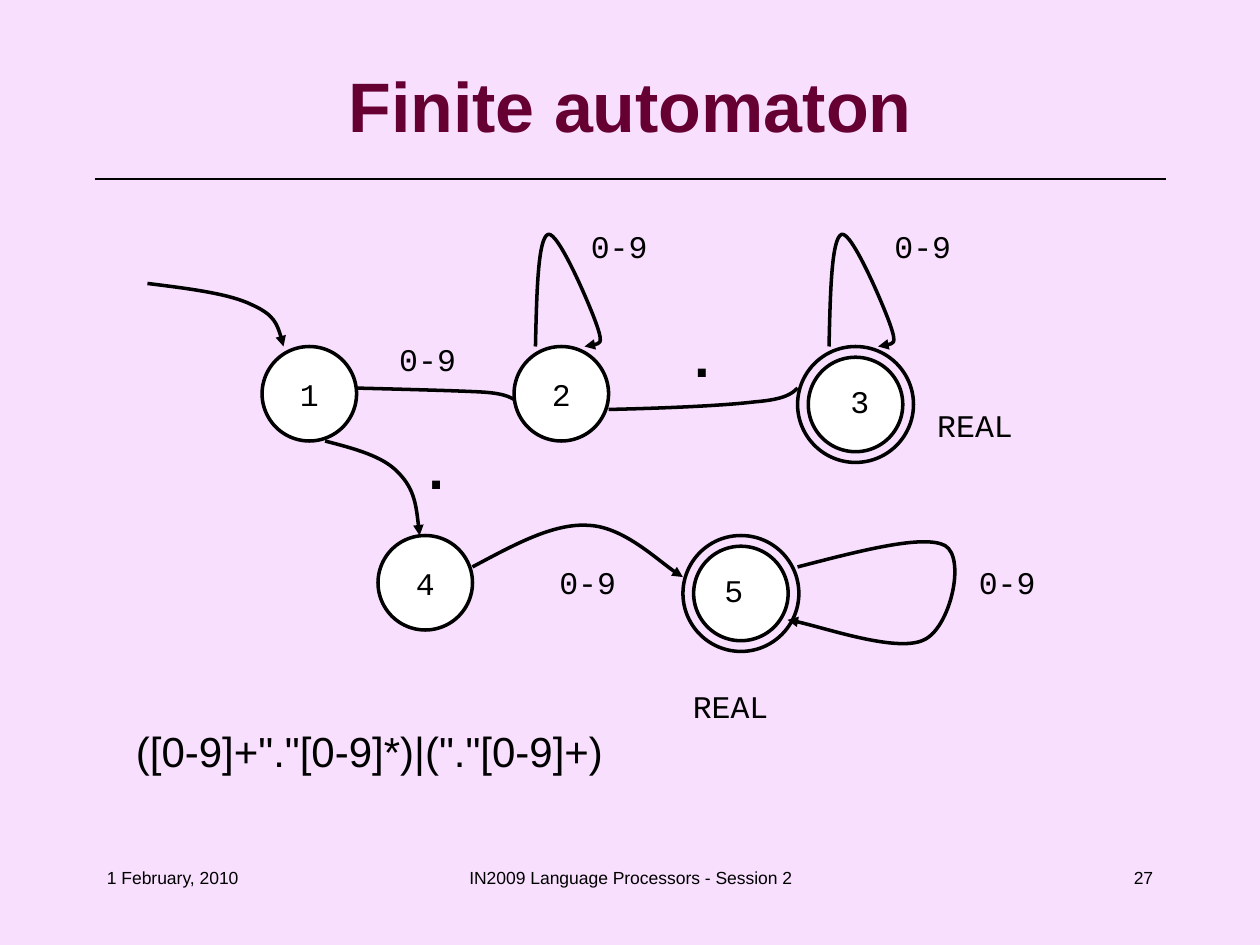
import pptx
import pptx.util
import pptx.dml.color
import pptx.enum.shapes
import pptx.enum.text
import pptx.oxml.ns
import lxml.etree

Inches = pptx.util.Inches
Pt = pptx.util.Pt
RGB = pptx.dml.color.RGBColor.from_string
ALIGN = pptx.enum.text.PP_ALIGN
ANCHOR = pptx.enum.text.MSO_ANCHOR
qn = pptx.oxml.ns.qn

THEME = {
    "back": "F7DFFD", "title": "660033", "ink": "000000", "node": "FFFFFF",
    "sans": "Arial", "mono": "Courier New",
    "head": 40, "dot": 32, "rule": 24, "label": 18, "foot": 10,
    "thin": 0.75, "thick": 2,
}

TITLE = "Finite automaton"
REGEX = '([0-9]+"."[0-9]*)|("."[0-9]+)'
FOOT = [  # text, left, width, alignment
    ("1 February, 2010", 0.75, 2.08, ALIGN.LEFT),
    ("IN2009 Language Processors - Session 2", 3.42, 3.17, ALIGN.CENTER),
    ("27", 7.17, 2.08, ALIGN.RIGHT),
]

NODE, RING = 0.75, 0.92
STATES = [("1", 2.08, 2.75), ("4", 3, 4.25), ("2", 4.08, 2.75)]
FINALS = [(6.33, 2.75), (5.42, 4.25)]  # corner of the outer ring
TICKS = [(1.33, 1.92), (1.42, 1.92)]

# Each curve: start point, then three Bezier points per segment
LOOP = [(4.25, 2.75), (4.26, 2.32), (4.27, 1.89), (4.35, 1.86),
        (4.43, 1.83), (4.69, 2.44), (4.74, 2.59),
        (4.79, 2.74), (4.72, 2.74), (4.64, 2.75)]
LOOP_STEP = 2.33  # from state 2 to state 3
ARROWS = [
    [(1.17, 2.25), (1.49, 2.29), (1.82, 2.33), (2, 2.42),
     (2.18, 2.5), (2.22, 2.62), (2.25, 2.75)],
    [(2.58, 3.5), (2.81, 3.56), (3.04, 3.62), (3.16, 3.75),
     (3.29, 3.88), (3.31, 4.06), (3.33, 4.25)],
    [(3.75, 4.5), (4.07, 4.33), (4.39, 4.15), (4.67, 4.17),
     (4.94, 4.18), (5.29, 4.51), (5.42, 4.58)],
    LOOP,
    [(x + LOOP_STEP, y) for x, y in LOOP],
    [(6.33, 4.5), (6.83, 4.37), (7.33, 4.24), (7.5, 4.33),
     (7.67, 4.43), (7.54, 4.99), (7.33, 5.08),
     (7.12, 5.18), (6.42, 4.94), (6.25, 4.92)],
]
PLAIN = [
    [(2.83, 3.08), (3.21, 3.09), (3.59, 3.1), (3.8, 3.11),
     (4, 3.12), (4.04, 3.15), (4.08, 3.17)],
    [(4.83, 3.25), (5.29, 3.24), (5.74, 3.22), (5.99, 3.19),
     (6.24, 3.17), (6.29, 3.12), (6.33, 3.08)],
]

LABELS = [  # text, left, top
    ("0-9", 3.07, 2.65), ("0-9", 4.59, 1.75), ("0-9", 7, 1.75),
    ("0-9", 7.67, 4.42), ("0-9", 4.34, 4.42),
    ("3", 6.65, 2.98), ("5", 5.65, 4.48),
    ("REAL", 5.4, 5.4), ("REAL", 7.34, 3.17),
]
DOTS = [(3.23, 3.39), (5.34, 2.5)]


def write(shape, text, size, face="sans", color="ink", bold=False,
          align=ALIGN.LEFT, anchor=ANCHOR.TOP, wrap=False):
    frame = shape.text_frame
    frame.word_wrap = wrap
    frame.vertical_anchor = anchor
    para = frame.paragraphs[0]
    para.text = text
    para.alignment = align
    font = para.font
    font.name, font.size, font.bold = THEME[face], Pt(THEME[size]), bold
    font.color.rgb = RGB(THEME[color])


def add_text(slide, box, text, size, **style):
    shape = slide.shapes.add_textbox(*map(Inches, box))
    write(shape, text, size, **style)


def ink(shape, width="thick"):
    shape.line.color.rgb = RGB(THEME["ink"])
    shape.line.width = Pt(THEME[width])


def add_line(slide, start, end, width):
    line = slide.shapes.add_connector(
        pptx.enum.shapes.MSO_CONNECTOR.STRAIGHT, *map(Inches, start + end))
    ink(line, width)
    lxml.etree.SubElement(line._element.spPr, qn("a:effectLst"))


def add_circle(slide, left, top, size, filled=True):
    shape = slide.shapes.add_shape(
        pptx.enum.shapes.MSO_SHAPE.OVAL, *map(Inches, (left, top, size, size)))
    shape.shadow.inherit = False
    if filled:
        shape.fill.solid()
        shape.fill.fore_color.rgb = RGB(THEME["node"])
    else:
        shape.fill.background()
    ink(shape)
    return shape


def add_curve(slide, points, arrow):
    """Draw a line through the Bezier points, then turn each three into a curve."""
    first, *rest = [(Inches(x), Inches(y)) for x, y in points]
    pen = slide.shapes.build_freeform(*first)
    pen.add_line_segments(rest, close=False)
    shape = pen.convert_to_shape()
    shape.shadow.inherit = False
    shape.fill.background()
    ink(shape)
    steps = list(shape._element.iter(qn("a:lnTo")))
    for i in range(0, len(steps), 3):
        curve = lxml.etree.Element(qn("a:cubicBezTo"))
        steps[i].addprevious(curve)
        for step in steps[i:i + 3]:
            curve.append(step[0])
            step.getparent().remove(step)
    if arrow:
        line = shape.line._get_or_add_ln()
        lxml.etree.SubElement(line, qn("a:tailEnd"), type="triangle")


def main():
    deck = pptx.Presentation()
    deck.slide_width, deck.slide_height = Inches(10), Inches(7.5)
    slide = deck.slides.add_slide(deck.slide_layouts[6])
    slide.background.fill.solid()
    slide.background.fill.fore_color.rgb = RGB(THEME["back"])

    add_line(slide, (0.75, 1.42), (9.25, 1.42), "thin")
    for text, left, width, align in FOOT:
        add_text(slide, (left, 6.83, width, 0.5), text, "foot",
                 align=align, wrap=True)
    add_text(slide, (0.5, 0.33, 9, 1), TITLE, "head", color="title", bold=True,
             align=ALIGN.CENTER, anchor=ANCHOR.MIDDLE, wrap=True)

    for name, left, top in STATES:
        write(add_circle(slide, left, top, NODE), name, "label", face="mono",
              align=ALIGN.CENTER, anchor=ANCHOR.MIDDLE)
    gap = (RING - NODE) / 2
    for left, top in FINALS:
        add_circle(slide, left + gap, top + gap, NODE)
        add_circle(slide, left, top, RING, filled=False)

    for spot in TICKS:
        add_line(slide, spot, spot, "thick")
    for points in ARROWS:
        add_curve(slide, points, True)
    for points in PLAIN:
        add_curve(slide, points, False)

    for text, left, top in LABELS:
        width = 0.2 + 0.15 * len(text)  # margins plus fixed-width letters
        add_text(slide, (left, top, width, 0.4), text, "label", face="mono")
    for left, top in DOTS:
        add_text(slide, (left, top, 0.46, 0.64), ".", "dot", face="mono", bold=True)
    add_text(slide, (0.98, 5.71, 3.91, 0.5), REGEX, "rule")

    deck.save("out.pptx")


if __name__ == "__main__":
    main()
